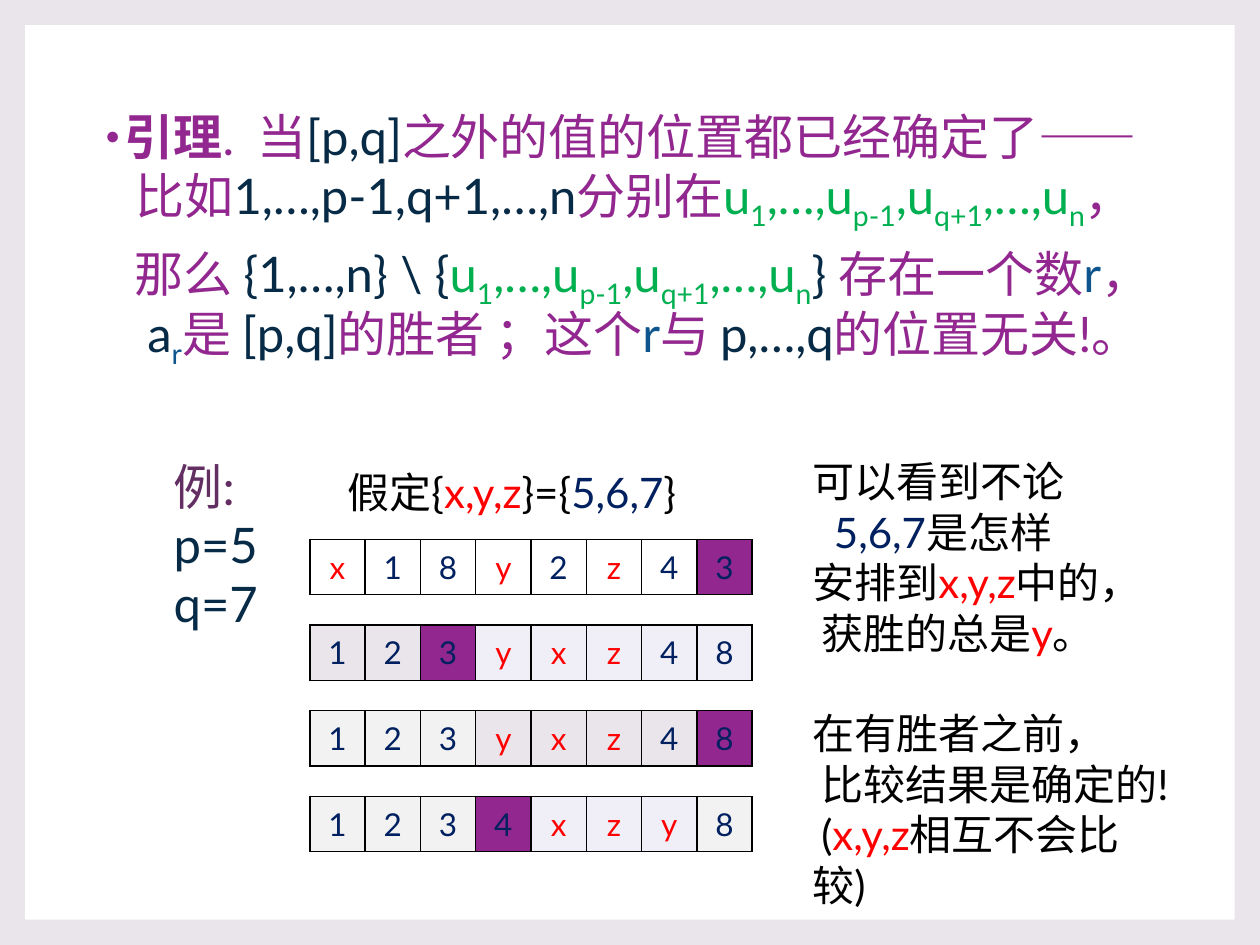
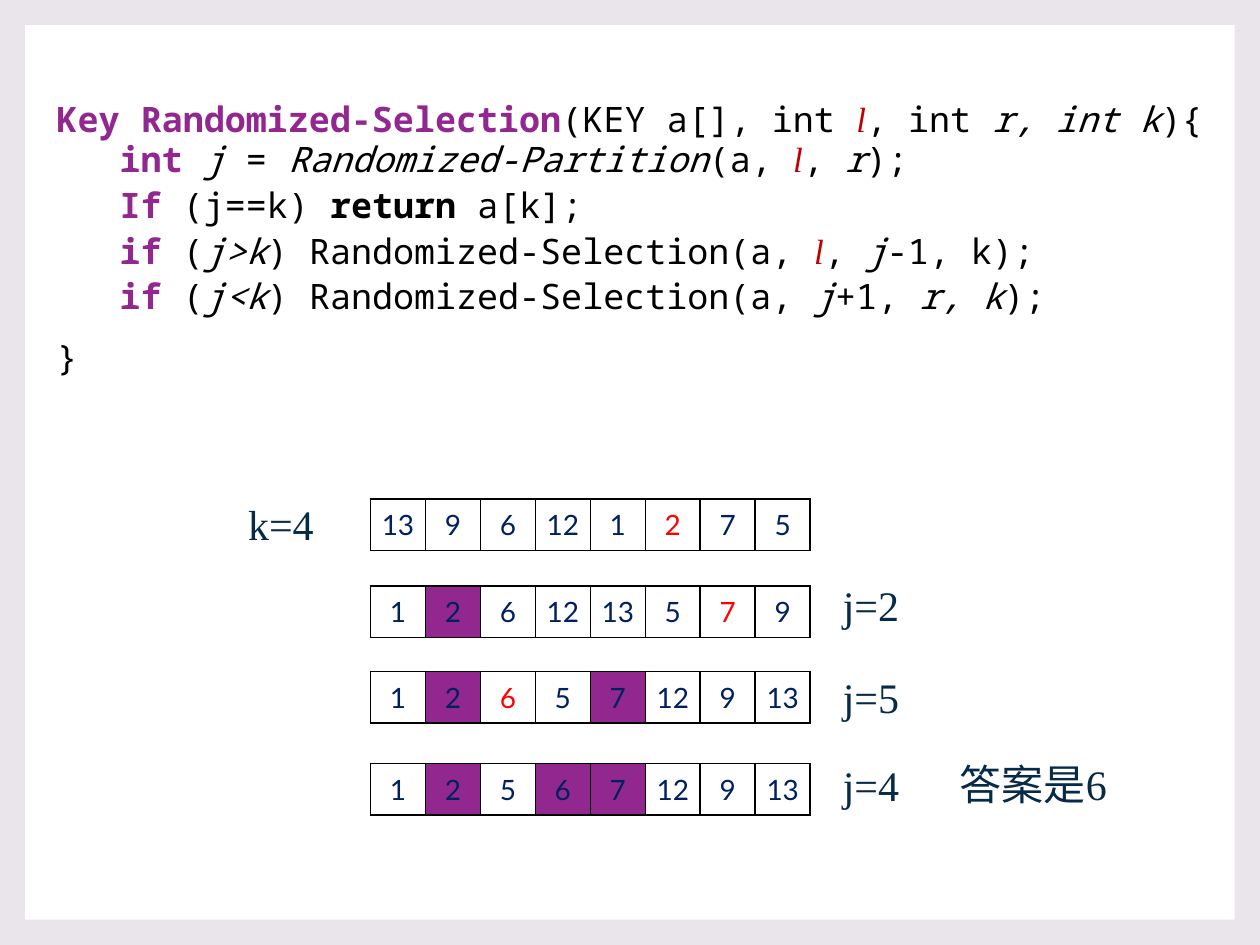
from dataclasses import dataclass

from lxml import etree
from pptx import Presentation
from pptx.dml.color import RGBColor
from pptx.enum import shapes as shp, text as txt
from pptx.oxml import ns
from pptx.util import Inches, Pt

# Shared look
HUES = {
    "mist": "EAE5EB", "white": "FFFFFF", "black": "000000", "plum": "92278F",
    "ink": "072B46", "blue": "0D558C", "navy": "002060", "green": "00B050",
    "red": "FF0000", "brick": "C00000", "wine": "632E62", "pale": "F0EFF8",
    "grey": "F2F2F2",
}
FILLS = {"w": "white", "m": "mist", "d": "plum", "p": "pale", "g": "grey"}
SANS, MONO, SERIF = "Lato", "Noto Sans Mono", "Times New Roman"


@dataclass
class Run:
    text: str
    hue: str = "black"
    bold: bool = False
    ital: bool = False
    face: str = ""
    base: int = 0    # baseline shift, percent
    track: int = 0   # letter spacing, points


@dataclass
class Para:
    runs: list[Run]
    left: float = 0
    first: float = 0
    before: float = 0
    after: float = 0
    lead: float = 1.0
    level: int = 0
    dot: str = ""


@dataclass
class Row:
    top: float
    vals: str
    fills: str
    reds: str = ""


@dataclass
class Grid:
    left: float
    width: float
    high: float
    size: int
    pad: float


@dataclass
class Box:
    left: float
    top: float
    width: float
    high: float
    size: int
    face: str
    paras: list[Para]


def rgb(hue: str) -> RGBColor:
    return RGBColor.from_string(HUES[hue])


def add_xml(parent, tag: str, **attrs: str):
    return etree.SubElement(parent, ns.qn(tag), attrs)


def add_hue(parent, hue: str) -> None:
    add_xml(parent, "a:srgbClr", val=HUES[hue])


# Text
def add_run(par, run: Run) -> None:
    for i, part in enumerate(run.text.split("\n")):
        if i:
            par.add_line_break()
        if not part:
            continue
        piece = par.add_run()
        piece.text = part
        font = piece.font
        font.color.rgb = rgb(run.hue)
        font.bold, font.italic = run.bold, run.ital
        if run.face:
            font.name = run.face
        props = piece._r.get_or_add_rPr()
        if run.base:
            props.set("baseline", str(run.base * 1000))
        if run.track:
            props.set("spc", str(run.track * 100))


def fill_text(frame, paras: list[Para], size: int, face: str) -> None:
    frame.word_wrap = True
    frame.auto_size = txt.MSO_AUTO_SIZE.NONE
    for i, para in enumerate(paras):
        par = frame.add_paragraph() if i else frame.paragraphs[0]
        par.level = para.level
        par.line_spacing = para.lead
        par.space_before, par.space_after = Pt(para.before), Pt(para.after)
        props = par._p.get_or_add_pPr()
        props.set("marL", str(Inches(para.left)))
        props.set("indent", str(Inches(para.first)))
        if para.dot:
            add_hue(add_xml(props, "a:buClr"), "plum")
            add_xml(props, "a:buSzPct", val="80000")
            add_xml(props, "a:buChar", char=para.dot)
        else:
            add_xml(props, "a:buNone")
        par.font.size, par.font.name = Pt(size), face
        for run in para.runs:
            add_run(par, run)


def place(shape, box: Box) -> None:
    shape.left, shape.top = Inches(box.left), Inches(box.top)
    shape.width, shape.height = Inches(box.width), Inches(box.high)
    fill_text(shape.text_frame, box.paras, box.size, box.face)


def add_box(slide, box: Box) -> None:
    place(slide.shapes.add_textbox(0, 0, 0, 0), box)


# Arrays
def add_edges(cell) -> None:
    props = cell._tc.get_or_add_tcPr()
    for i, side in enumerate("LRTB"):
        edge = add_xml(props, f"a:ln{side}", w=str(Pt(1)))
        add_hue(add_xml(edge, "a:solidFill"), "black")
        props.insert(i, edge)


def add_row(slide, grid: Grid, row: Row) -> None:
    vals = row.vals.split()
    table = slide.shapes.add_table(
        1, len(vals), Inches(grid.left), Inches(row.top),
        Inches(grid.width), Inches(grid.high)).table
    table.first_row = table.horz_banding = False
    reds = row.reds.split()
    for cell, val, code in zip(table.iter_cells(), vals, row.fills):
        cell.fill.solid()
        cell.fill.fore_color.rgb = rgb(FILLS[code])
        cell.margin_left = cell.margin_right = Inches(grid.pad)
        cell.margin_top = cell.margin_bottom = Inches(0.04)
        cell.vertical_anchor = txt.MSO_ANCHOR.MIDDLE
        add_edges(cell)
        par = cell.text_frame.paragraphs[0]
        par.alignment = txt.PP_ALIGN.CENTER
        par.font.size, par.font.name = Pt(grid.size), SANS
        add_run(par, Run(val, "red" if val in reds else "navy"))


# Slides
def set_master(prs, slide) -> None:
    master = prs.slide_master
    master.background.fill.solid()
    master.background.fill.fore_color.rgb = rgb("mist")
    panel = slide.shapes.add_shape(
        shp.MSO_SHAPE.RECTANGLE, Inches(0.2), Inches(0.2), Inches(9.6), Inches(7.1))
    panel.shadow.inherit = False
    panel.fill.solid()
    panel.fill.fore_color.rgb = rgb("white")
    panel.line.fill.background()
    master.shapes.element.insert(2, panel.element)


def new_slide(prs, body: Box):
    slide = prs.slides.add_slide(prs.slide_layouts[1])
    title = slide.shapes.title.element
    title.getparent().remove(title)
    place(slide.placeholders[1], body)
    return slide


def plum(text: str) -> Run:
    return Run(text, "plum")


def ink(text: str) -> Run:
    return Run(text, "ink")


def lemma(prs):
    marks = ["u", "1", ",…,u", "p-1", ",u", "q+1", ",…,u", "n"]
    spots = [Run(t, "green", base=-25 * (i % 2)) for i, t in enumerate(marks)]
    num = Run("r", "blue")
    body = Box(0.7, 0.85, 9.84, 2.37, 28, SANS, [
        Para([Run("引理", "plum", bold=True), Run(". ", "plum", track=3),
              plum("当"), ink("[p,q]"), plum("之外的值的位置都已经确定了——\n 比如"),
              ink("1,…,p-1,q+1,…,n"), plum("分别在"), *spots, plum("，")],
             left=0.19, first=-0.15, before=10, lead=0.9, dot="•"),
        Para([plum("那么"), ink(" {1,…,n} \\ {"), *spots, ink("} "),
              plum("存在一个数"), num, plum("，\n"), ink("a"),
              Run("r", "blue", base=-25), plum("是 "), ink("[p,q]"),
              plum("的胜者 ；这个"), num, plum("与 "), ink("p,…,q"),
              plum("的位置无关!。")],
             left=0.37, first=-0.1, before=10, lead=0.9),
    ])
    slide = new_slide(prs, body)

    # Example and its arrays
    add_box(slide, Box(1.28, 3.57, 1, 1.51, 28, SANS, [
        Para([Run("例:", "wine")]), Para([ink("p=5")]), Para([ink("q=7")])]))
    grid = Grid(2.46, 3.51, 0.44, 18, 0.08)
    lines = [("x 1 8 y 2 z 4 3", "wwwwwwwd"), ("1 2 3 y x z 4 8", "mmdppppp"),
             ("1 2 3 y x z 4 8", "gggmmmmd"), ("1 2 3 4 x z y 8", "gggdpppg")]
    for i, (vals, fills) in enumerate(lines):
        add_row(slide, grid, Row(4.28 + 0.68 * i, vals, fills, "x y z"))

    # Remarks
    names, nums = Run("x,y,z", "red"), Run("5,6,7", "navy")
    add_box(slide, Box(6.35, 3.57, 3.2, 3.33, 24, SANS, [
        Para([Run("可以看到不论")]),
        Para([nums, Run("是怎样")], first=0.17),
        Para([Run("安排到"), names, Run("中的，")]),
        Para([Run("获胜的总是"), Run("y", "red"), Run("。")], first=0.07),
        Para([Run("在有胜者之前，")], before=28.8),
        Para([Run("比较结果是确定的!")], first=0.07),
        Para([Run("("), names, Run("相互不会比\n较)")], first=0.07),
    ]))
    add_box(slide, Box(2.66, 3.65, 3.67, 0.5, 24, SANS, [
        Para([Run("假定{"), names, Run("}={"), nums, Run("}")])]))
    return slide


def key(text: str) -> Run:
    return Run(text, "plum", bold=True)


def ital(text: str) -> Run:
    return Run(text, ital=True)


def code(*runs: Run) -> Para:
    return Para(list(runs), left=0.5, before=1.5, after=3, lead=0.9, level=1)


def select(prs) -> None:
    low = Run("l", "brick", ital=True, face=SERIF)
    call = Run(") Randomized-Selection(a, ")
    body = Box(0.35, 0.76, 9.51, 2.5, 20, MONO, [
        Para([key("Key Randomized-Selection"), Run("(KEY a[], int "), low,
              Run(", int "), ital("r, int k"), Run("){")], before=10, lead=0.9),
        code(key("int "), ital("j"), Run(" = "), ital("Randomized-Partition"),
             Run("(a, "), low, Run(", "), ital("r"), Run(");")),
        code(key("If"), Run(" (j==k) "), Run("return", bold=True), Run(" a[k];")),
        code(key("if"), Run(" ("), ital("j>k"), call, low, Run(", "),
             ital("j"), Run("-1, k);")),
        code(key("if"), Run(" ("), ital("j<k"), call, ital("j"), Run("+1, "),
             ital("r, k"), Run(");")),
        Para([Run("}")], before=10, lead=0.9),
    ])
    slide = new_slide(prs, body)

    # Array after each partition
    grid = Grid(2.94, 3.49, 0.41, 16, 0.07)
    for row in (Row(3.96, "13 9 6 12 1 2 7 5", "wwwwwwww", "2"),
                Row(4.65, "1 2 6 12 13 5 7 9", "wdwwwwww", "7"),
                Row(5.33, "1 2 6 5 7 12 9 13", "wdwwdwww", "6"),
                Row(6.06, "1 2 5 6 7 12 9 13", "wdwddwww")):
        add_row(slide, grid, row)

    # Labels beside the arrays
    for left, top, wide, label in ((1.87, 3.91, 2.35, "k=4"),
                                   (6.59, 4.55, 0.78, "j=2"),
                                   (6.59, 5.28, 0.78, "j=5"),
                                   (6.59, 5.98, 0.78, "j=4"),
                                   (7.52, 5.97, 1.67, "答案是6")):
        add_box(slide, Box(left, top, wide, 0.5, 24, SERIF, [Para([ink(label)])]))


def main() -> None:
    prs = Presentation()
    prs.slide_width, prs.slide_height = Inches(10), Inches(7.5)
    set_master(prs, lemma(prs))
    select(prs)
    prs.save("out.pptx")


if __name__ == "__main__":
    main()
